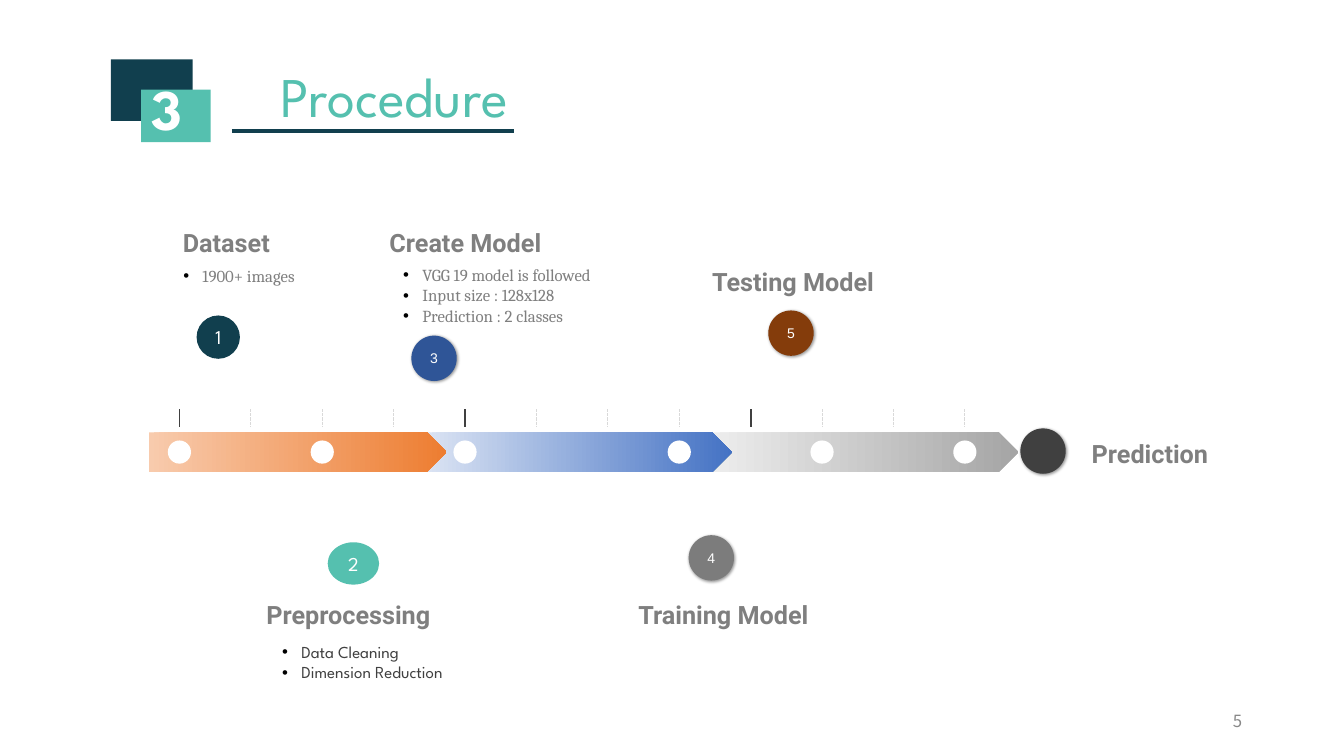
import pptx
import pptx.util
import pptx.dml.color
import pptx.enum.dml
import pptx.enum.shapes
import pptx.enum.text
import pptx.oxml
import pptx.oxml.ns

Inches, Pt = pptx.util.Inches, pptx.util.Pt
RGBColor = pptx.dml.color.RGBColor
Shape = pptx.enum.shapes.MSO_SHAPE
Align = pptx.enum.text.PP_ALIGN
Anchor = pptx.enum.text.MSO_ANCHOR
qn = pptx.oxml.ns.qn

NAVY = RGBColor(0x11, 0x3F, 0x4E)
TEAL = RGBColor(0x55, 0xC0, 0xAF)
WHITE = RGBColor(0xFF, 0xFF, 0xFF)
CHARCOAL = RGBColor(0x40, 0x40, 0x40)
HEADING_GRAY = RGBColor(0x7F, 0x7F, 0x7F)
NUMBER_GRAY = RGBColor(0x88, 0x88, 0x88)
TICK_GRAY = RGBColor(0xD9, 0xD9, 0xD9)
STEP_GRAY = RGBColor(0x7C, 0x7C, 0x7C)
BROWN = RGBColor(0x84, 0x3C, 0x0B)
BLUE = RGBColor(0x2F, 0x55, 0x97)

SPARTAN, ROBOTO = "League Spartan", "Roboto"
INSETS = (0.1, 0.05)

# left, top, width, height
HEADINGS = [
    ("Dataset", (1.75, 2.26, 0.99, 0.27)),
    ("Preprocessing", (2.56, 5.95, 1.79, 0.34)),
    ("Create Model", (3.74, 2.26, 1.75, 0.27)),
    ("Training Model", (6.28, 5.95, 1.79, 0.34)),
    ("Testing Model", (6.97, 2.64, 1.79, 0.34)),
    ("Prediction", (10.56, 4.35, 1.69, 0.34)),
]
DETAILS = [
    (["1900+ images"], (1.72, 2.59, 1.46, 0.3), "Cambria", HEADING_GRAY),
    (["VGG 19 model is followed", "Input size : 128x128", "Prediction : 2 classes"],
     (3.9, 2.58, 2.39, 0.91), "Cambria", HEADING_GRAY),
    (["Data Cleaning", "Dimension Reduction"], (2.7, 6.32, 2.12, 0.71), SPARTAN, CHARCOAL),
]
FLAT_STEPS = [
    ("1", (1.95, 3.13, 0.43, 0.43), NAVY),
    ("2", (3.25, 5.38, 0.51, 0.42), TEAL),
]
RAISED_STEPS = [
    ("3", (4.08, 3.33), BLUE),
    ("4", (6.83, 5.31), STEP_GRAY),
    ("5", (7.62, 3.08), BROWN),
]
END_POINT = (10.12, 4.25)
RAISED_SIZE = 0.45

# left, width, start colour, end colour; each arrow overlaps the one before it
ARROWS = [
    (7.06, 3.04, RGBColor(0xED, 0xED, 0xED), RGBColor(0xA5, 0xA5, 0xA5)),
    (4.24, 3.02, RGBColor(0xDA, 0xE3, 0xF3), RGBColor(0x44, 0x72, 0xC4)),
    (1.48, 2.95, RGBColor(0xF8, 0xCB, 0xAD), RGBColor(0xED, 0x7D, 0x31)),
]
ARROW_TOP, ARROW_HEIGHT = 4.29, 0.39
TICK_COUNT, TICKS_PER_PHASE = 12, 4
FIRST_TICK, LAST_TICK = 1.78, 9.57
TICK_TOP, TICK_BOTTOM = 4.06, 4.24
DOT_TICKS = (0, 2, 4, 7, 9, 11)
DOT_SIZE = 0.23


def write(shape, lines, font_name, size, color, bold=False, align=Align.LEFT,
          anchor=Anchor.TOP, insets=INSETS, bulleted=False):
    frame = shape.text_frame
    frame.word_wrap = True
    frame.auto_size = pptx.enum.text.MSO_AUTO_SIZE.NONE
    frame.vertical_anchor = anchor
    frame.margin_left = frame.margin_right = Inches(insets[0])
    frame.margin_top = frame.margin_bottom = Inches(insets[1])
    for index, line in enumerate(lines):
        paragraph = frame.paragraphs[0] if index == 0 else frame.add_paragraph()
        paragraph.alignment = align
        if bulleted:
            add_bullet(paragraph)
        run = paragraph.add_run()
        run.text = line
        run.font.name = font_name
        run.font.size = Pt(size)
        run.font.bold = bold
        run.font.color.rgb = color


def add_bullet(paragraph):
    properties = paragraph._p.get_or_add_pPr()
    indent = Inches(0.19)
    properties.set("marL", str(indent))
    properties.set("indent", str(-indent))
    bullet_color = properties.makeelement(qn("a:buClr"), {})
    bullet_color.append(bullet_color.makeelement(qn("a:srgbClr"), {"val": "000000"}))
    properties.append(bullet_color)
    properties.append(properties.makeelement(qn("a:buFont"), {"typeface": "Arial"}))
    properties.append(properties.makeelement(qn("a:buChar"), {"char": "•"}))


def add_text(slide, box, lines, *style, **options):
    shape = slide.shapes.add_textbox(*map(Inches, box))
    write(shape, lines, *style, **options)


def add_filled(slide, kind, box, color=None):
    shape = slide.shapes.add_shape(kind, *map(Inches, box))
    shape.shadow.inherit = False
    shape.line.fill.background()
    if color is not None:
        shape.fill.solid()
        shape.fill.fore_color.rgb = color
    return shape


def add_raised_circle(slide, corner, color):
    """Add a circle with a soft drop shadow."""
    circle = add_filled(slide, Shape.OVAL, (*corner, RAISED_SIZE, RAISED_SIZE), color)
    effects = circle._element.spPr.find(qn("a:effectLst"))
    effects.append(pptx.oxml.parse_xml(
        f'<a:outerShdw {pptx.oxml.ns.nsdecls("a")} blurRad="{Pt(2)}" dist="{Pt(1)}" '
        'dir="2700000" algn="tl" rotWithShape="0"><a:srgbClr val="000000">'
        '<a:alpha val="40000"/></a:srgbClr></a:outerShdw>'))
    return circle


def add_line(slide, start, end, color, width, dashed=False):
    line = slide.shapes.add_connector(
        pptx.enum.shapes.MSO_CONNECTOR.STRAIGHT, *map(Inches, (*start, *end)))
    line.line.color.rgb = color
    line.line.width = Pt(width)
    if dashed:
        line.line.dash_style = pptx.enum.dml.MSO_LINE.SQUARE_DOT
    properties = line._element.spPr
    properties.append(properties.makeelement(qn("a:effectLst"), {}))


def add_header(slide):
    add_line(slide, (2.3, 1.3), (5.1, 1.3), NAVY, 3)
    title = slide.shapes.title
    title.left, title.top, title.width, title.height = map(Inches, (2.3, 0.56, 3.22, 0.63))
    write(title, ["Procedure"], SPARTAN, 40, TEAL, align=Align.CENTER)
    add_filled(slide, Shape.RECTANGLE, (1.1, 0.59, 0.81, 0.61), NAVY)
    add_filled(slide, Shape.RECTANGLE, (1.4, 0.89, 0.69, 0.52), TEAL)
    add_text(slide, (1.4, 0.68, 0.63, 0.61), ["3"], SPARTAN, 41, WHITE, bold=True)


def add_timeline(slide):
    for left, width, start_color, end_color in ARROWS:
        arrow = add_filled(slide, Shape.RIGHT_ARROW, (left, ARROW_TOP, width, ARROW_HEIGHT))
        arrow.adjustments[0], arrow.adjustments[1] = 1, 0.5
        arrow.fill.gradient()
        arrow.fill.gradient_angle = 0
        for stop, color in zip(arrow.fill.gradient_stops, (start_color, end_color)):
            stop.color.rgb = color

    pitch = (LAST_TICK - FIRST_TICK) / (TICK_COUNT - 1)
    dot_top = ARROW_TOP + (ARROW_HEIGHT - DOT_SIZE) / 2
    for tick in range(TICK_COUNT):
        x = FIRST_TICK + tick * pitch
        major = tick % TICKS_PER_PHASE == 0
        add_line(slide, (x, TICK_TOP), (x, TICK_BOTTOM), CHARCOAL if major else TICK_GRAY,
                 1.25 if major else 0.75, dashed=not major)
        if tick in DOT_TICKS:
            add_filled(slide, Shape.OVAL, (x - DOT_SIZE / 2, dot_top, DOT_SIZE, DOT_SIZE), WHITE)
    add_raised_circle(slide, END_POINT, CHARCOAL)


def add_steps(slide):
    centered = {"align": Align.CENTER, "anchor": Anchor.MIDDLE}
    for number, box, color in FLAT_STEPS:
        circle = add_filled(slide, Shape.OVAL, box, color)
        write(circle, [number], SPARTAN, 14, WHITE, **centered)
    for number, corner, color in RAISED_STEPS:
        circle = add_raised_circle(slide, corner, color)
        write(circle, [number], "Arial", 10, WHITE, insets=(0, 0), **centered)
    for heading, box in HEADINGS:
        add_text(slide, box, [heading], ROBOTO, 18, HEADING_GRAY, bold=True,
                 align=Align.CENTER, insets=(0, 0))
    for lines, box, font_name, color in DETAILS:
        add_text(slide, box, lines, font_name, 12, color, bulleted=True)


def main():
    presentation = pptx.Presentation()
    presentation.slide_width, presentation.slide_height = Inches(13.33), Inches(7.5)
    slide = presentation.slides.add_slide(presentation.slide_layouts[5])
    add_header(slide)
    add_timeline(slide)
    add_steps(slide)
    add_text(slide, (9.42, 6.95, 3, 0.4), ["5"], "Noto Sans CJK SC", 12, NUMBER_GRAY,
             align=Align.RIGHT, anchor=Anchor.MIDDLE)
    presentation.save("out.pptx")


if __name__ == "__main__":
    main()
